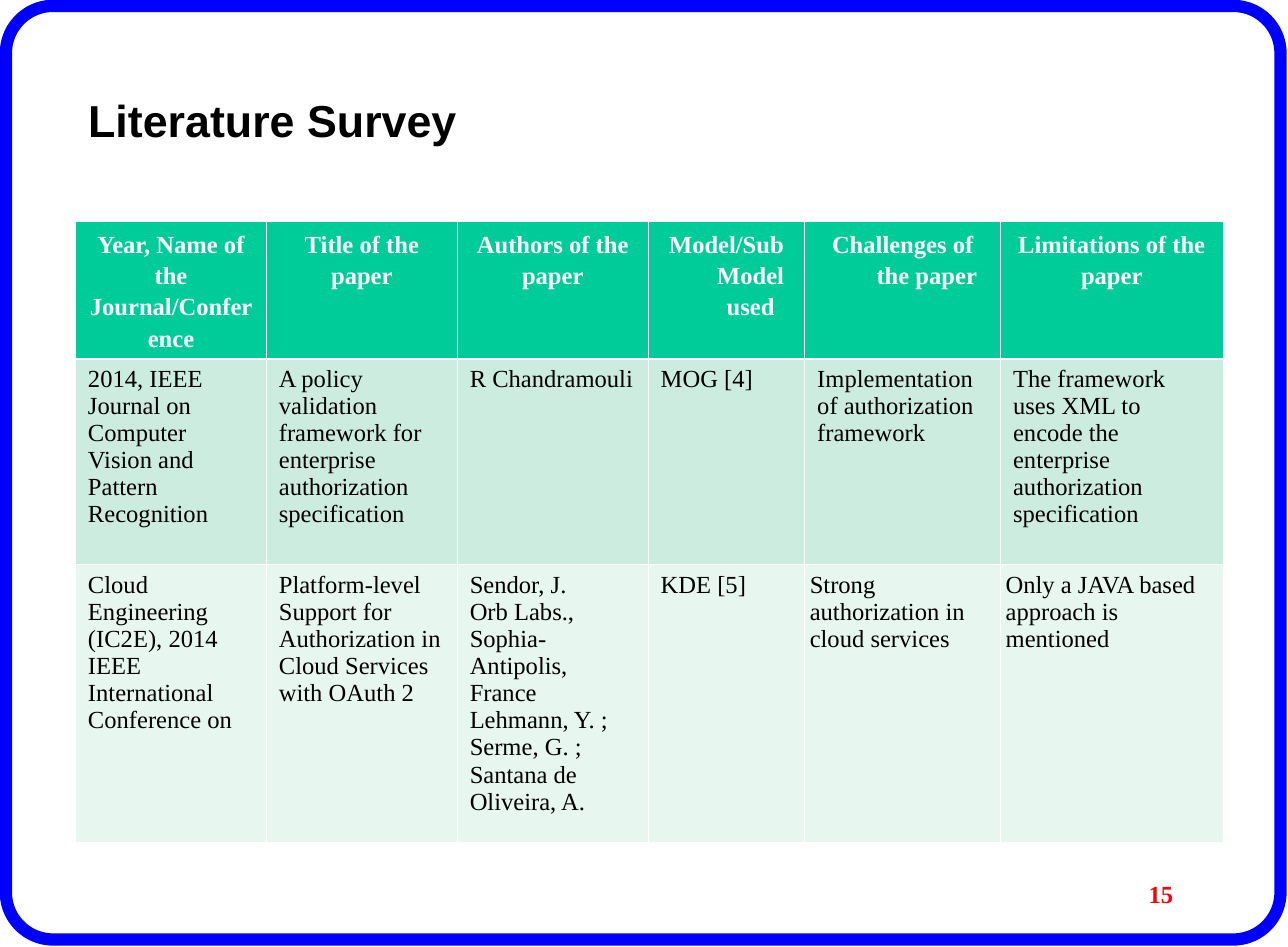
from lxml.etree import SubElement
from pptx import Presentation
from pptx.dml.color import RGBColor
from pptx.enum.shapes import MSO_SHAPE
from pptx.enum.text import MSO_ANCHOR, MSO_AUTO_SIZE, PP_ALIGN
from pptx.oxml.ns import qn
from pptx.util import Cm, Pt

HEADINGS = [
    "Year, Name of the Journal/Conference", "Title of the paper",
    "Authors of the paper", "Model/Sub Model used",
    "Challenges of the paper", "Limitations of the paper",
]
PAPERS = [
    ["2014, IEEE Journal on Computer Vision and Pattern Recognition",
     "A policy validation framework for enterprise authorization specification",
     "R Chandramouli", "MOG [4]", "Implementation of authorization framework",
     "The framework uses XML to encode the enterprise authorization specification"],
    ["Cloud Engineering (IC2E), 2014 IEEE International Conference on",
     "Platform-level Support for Authorization in Cloud Services with OAuth 2",
     "Sendor, J.\nOrb Labs., Sophia-Antipolis, France\n"
     "Lehmann, Y. ; Serme, G. ; Santana de Oliveira, A.",
     "KDE [5]", "Strong authorization in cloud services",
     "Only a JAVA based approach is mentioned"],
]
COLUMN_WIDTHS = [3.84, 3.84, 3.84, 3.15, 3.94, 4.47]
ROW_HEIGHTS = [2.72, 4.14, 5.59]
ROW_FILLS = ["00CC99", "CBECDE", "E7F6EF"]
INDENTED_COLUMNS = (3, 4)
THIN, THICK = 0.45, 1.47


def colour(value):
    return RGBColor.from_string(value)


def apply(target, formats):
    for name, value in formats.items():
        setattr(target, name, value)


class SurveyPage:
    body = {"name": "Times New Roman", "size": Pt(14), "bold": False}
    strong = {**body, "bold": True}
    heading = {"name": "Arial", "size": Pt(44), "bold": True}
    frame_blue = "0000FF"

    def __init__(self, deck):
        self.page = deck.slides.add_slide(deck.slide_layouts[5])

    def paragraph(self, frame, text, font, ink, **formats):
        para = frame.paragraphs[0]
        para.text = text
        apply(para, formats)
        for span in para.runs:
            apply(span.font, font)
            span.font.color.rgb = colour(ink)
        return para

    def border(self, left, top, width, height, radius, weight):
        box = self.page.shapes.add_shape(
            MSO_SHAPE.ROUNDED_RECTANGLE, Cm(left), Cm(top), Cm(width), Cm(height))
        box.adjustments[0] = radius / min(width, height)
        box.shadow.inherit = False
        box.fill.background()
        box.line.color.rgb = colour(self.frame_blue)
        box.line.width = Pt(weight)

    def title(self, text, left, top, width, height):
        box = self.page.shapes.title
        apply(box, {"left": Cm(left), "top": Cm(top),
                    "width": Cm(width), "height": Cm(height)})
        apply(box.text_frame, {"vertical_anchor": MSO_ANCHOR.MIDDLE,
                               "auto_size": MSO_AUTO_SIZE.NONE})
        para = self.paragraph(box.text_frame, text, self.heading, "000000",
                              alignment=PP_ALIGN.LEFT)
        for span in para.runs:
            span._r.get_or_add_rPr().set("baseline", "-25000")

    def number(self, text, left, top, width, height):
        box = self.page.shapes.add_textbox(Cm(left), Cm(top), Cm(width), Cm(height))
        apply(box.text_frame, {"vertical_anchor": MSO_ANCHOR.MIDDLE, "word_wrap": True})
        self.paragraph(box.text_frame, text, self.strong, "FF0000",
                       alignment=PP_ALIGN.RIGHT)

    def edges(self, cell, weights):
        properties = cell._tc.get_or_add_tcPr()
        for side, weight in weights.items():
            line = SubElement(properties, qn(f"a:ln{side}"), w=str(Pt(weight)))
            fill = SubElement(line, qn("a:solidFill"))
            SubElement(fill, qn("a:srgbClr"), val="FFFFFF")

    def cell(self, cell, text, row, column):
        is_header = row == 0
        self.edges(cell, {"L": THIN, "R": THIN,
                          "T": THICK if row == 1 else THIN,
                          "B": THICK if is_header else THIN})
        cell.fill.solid()
        cell.fill.fore_color.rgb = colour(ROW_FILLS[row])
        side = 0.2 if is_header else 0.25
        if row == 2 and column >= 4:
            side = 0.1
        apply(cell, {"margin_left": Cm(side), "margin_right": Cm(side),
                     "margin_top": Cm(0.13), "margin_bottom": Cm(0.13)})
        if not is_header:
            self.paragraph(cell.text_frame, text, self.body, "000000")
            return
        para = self.paragraph(cell.text_frame, text, self.strong, "FFFFFF",
                              alignment=PP_ALIGN.CENTER, line_spacing=1.15)
        if column in INDENTED_COLUMNS:
            properties = para._p.get_or_add_pPr()
            properties.set("marL", str(Cm(0.97)))
            properties.set("indent", str(-Cm(0.97)))

    def table(self, rows, left, top):
        table = self.page.shapes.add_table(
            len(rows), len(COLUMN_WIDTHS), Cm(left), Cm(top),
            Cm(sum(COLUMN_WIDTHS)), Cm(sum(ROW_HEIGHTS))).table
        table.horz_banding = False
        for column, width in zip(table.columns, COLUMN_WIDTHS):
            column.width = Cm(width)
        for row, height in zip(table.rows, ROW_HEIGHTS):
            row.height = Cm(height)
        for row, texts in enumerate(rows):
            for column, text in enumerate(texts):
                self.cell(table.cell(row, column), text, row, column)


def main():
    deck = Presentation()
    apply(deck, {"slide_width": Cm(25.91), "slide_height": Cm(19.05)})
    survey = SurveyPage(deck)
    survey.border(0.12, 0.12, 25.64, 18.78, 0.95, 7)
    survey.table([HEADINGS, *PAPERS], 1.52, 4.45)
    survey.title("Literature Survey", 1.52, 0.84, 23.7, 2.11)
    survey.number("15", 18.47, 17.35, 5.38, 1.27)
    deck.save("out.pptx")


if __name__ == "__main__":
    main()
